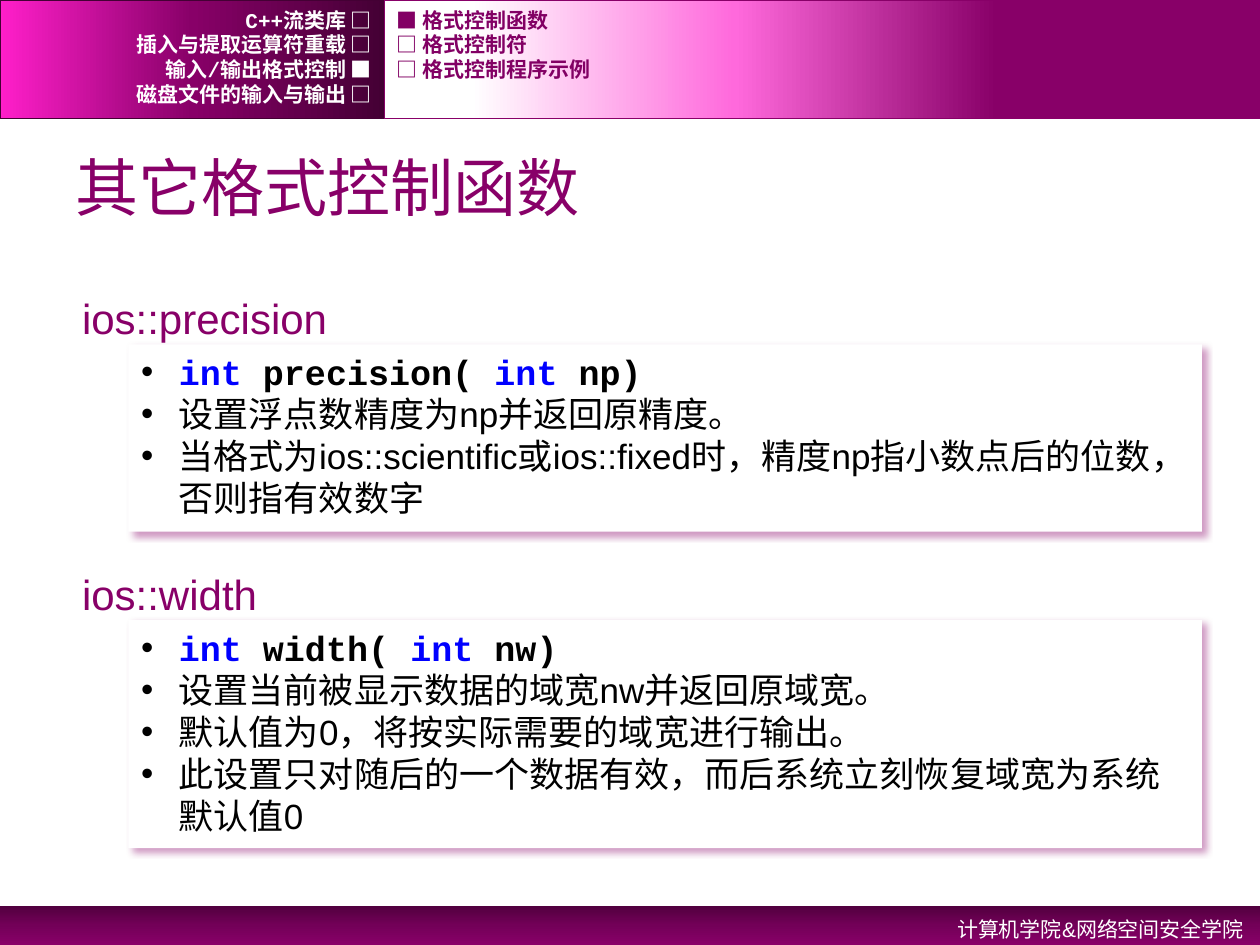
"""Build the slide on further stream format control functions."""
from lxml import etree
from pptx import Presentation
from pptx.dml.color import RGBColor
from pptx.enum.shapes import MSO_SHAPE
from pptx.enum.text import MSO_ANCHOR, MSO_AUTO_SIZE, PP_ALIGN
from pptx.oxml import parse_xml
from pptx.oxml.ns import qn
from pptx.util import Cm, Pt

COLORS = {"plum": "880068", "dark": "440034", "nav": "820064", "keyword": "0000FF",
          "text": "000000", "white": "FFFFFF"}
NS = 'xmlns:a="http://schemas.openxmlformats.org/drawingml/2006/main"'
SANS, MONO = "Arial", "Courier New"

TITLE = "其它格式控制函数"
FOOTER = "计算机学院&网络空间安全学院"
CHAPTERS = ["C++流类库 □", "插入与提取运算符重载 □", "输入/输出格式控制 ■", "磁盘文件的输入与输出 □"]
TOPICS = ["■ 格式控制函数", "□ 格式控制符", "□ 格式控制程序示例"]
SECTIONS = [
    {"name": "ios::precision", "top": 5.77, "width": 5.51, "height": 3.78,
     "signature": ["int ", "precision( ", "int ", "np)"],
     "notes": ["设置浮点数精度为np并返回原精度。",
               "当格式为ios::scientific或ios::fixed时，精度np指小数点后的位数， 否则指有效数字"]},
    {"name": "ios::width", "top": 11.33, "width": 4.09, "height": 4.6,
     "signature": ["int ", "width( ", "int ", "nw)"],
     "notes": ["设置当前被显示数据的域宽nw并返回原域宽。",
               "默认值为0，将按实际需要的域宽进行输出。",
               "此设置只对随后的一个数据有效，而后系统立刻恢复域宽为系统默认值0"]},
]
BANDS = [
    ((0, 18.26, 25.4, 0.79), 90, [(0, "51003E"), (50, "730058"), (100, "880068")], None),
    ((0, 0, 7.75, 2.39), 180, [(0, "440034"), (50, "880068"), (100, "FF1FCA")], "dark"),
    ((7.75, 0, 17.65, 2.39), 180, [(30, "880068"), (60, "FF69DC"), (90, "FFFFFF")], "plum"),
]


def color(name):
    return RGBColor.from_string(COLORS[name])


def place(shape, left, top, width, height):
    shape.left, shape.top, shape.width, shape.height = map(Cm, (left, top, width, height))


def add_run(paragraph, text, size, font, tint, bold=False):
    run = paragraph.add_run()
    run.text = text
    run.font.size, run.font.name, run.font.bold = Pt(size), font, bold
    run.font.color.rgb = color(tint)


def set_frame(shape, anchor=MSO_ANCHOR.TOP, wrap=True):
    frame = shape.text_frame
    frame.auto_size = MSO_AUTO_SIZE.NONE
    frame.word_wrap, frame.vertical_anchor = wrap, anchor
    return frame


def add_band(slide, box, angle, stops, line):
    band = slide.shapes.add_shape(MSO_SHAPE.RECTANGLE, *map(Cm, box))
    band.shadow.inherit = False
    band.fill.background()
    marks = "".join(f'<a:gs pos="{pos * 1000}"><a:srgbClr val="{tint}"/></a:gs>'
                    for pos, tint in stops)
    gradient = parse_xml(f'<a:gradFill {NS} rotWithShape="1"><a:gsLst>{marks}</a:gsLst>'
                         f'<a:lin ang="{angle * 60000}" scaled="0"/></a:gradFill>')
    properties = band._element.spPr
    properties.replace(properties.find(qn("a:noFill")), gradient)
    if line:
        band.line.color.rgb, band.line.width = color(line), Pt(1)
    else:
        band.line.fill.background()


def add_label(slide, box, text, font, tint, align, bold, anchor=MSO_ANCHOR.MIDDLE):
    label = slide.shapes.add_textbox(*map(Cm, box))
    paragraph = set_frame(label, anchor).paragraphs[0]
    paragraph.alignment = align
    add_run(paragraph, text, 12, font, tint, bold)
    return paragraph


def set_bullet(paragraph):
    properties = paragraph._p.get_or_add_pPr()
    properties.set("marL", str(Cm(0.76)))
    properties.set("indent", str(-Cm(0.76)))
    tint = etree.SubElement(properties, qn("a:buClr"))
    etree.SubElement(tint, qn("a:srgbClr"), val=COLORS["text"])
    etree.SubElement(properties, qn("a:buFont"), typeface=SANS)
    etree.SubElement(properties, qn("a:buChar"), char="•")


def add_section(heading, panel, section):
    place(heading, 1.4, section["top"], section["width"], 1.27)
    paragraph = set_frame(heading, wrap=False).paragraphs[0]
    paragraph.space_before = Pt(0)
    add_run(paragraph, section["name"], 24, SANS, "plum")

    place(panel, 2.59, section["top"] + 1.17, 21.64, section["height"])
    panel.fill.solid()
    panel.fill.fore_color.rgb = color("white")
    panel.shadow.inherit = False
    panel._element.spPr.find(qn("a:effectLst")).append(parse_xml(
        f'<a:outerShdw {NS} blurRad="{Pt(4)}" dist="{Pt(3)}" dir="2700000" algn="tl">'
        f'<a:srgbClr val="{COLORS["plum"]}"><a:alpha val="40000"/></a:srgbClr></a:outerShdw>'))
    frame = set_frame(panel)
    for index, note in enumerate([None] + section["notes"]):
        paragraph = frame.add_paragraph() if index else frame.paragraphs[0]
        paragraph.level = 1 if index else 0
        paragraph.space_before = Pt(0)
        set_bullet(paragraph)
        if index:
            add_run(paragraph, note, 20, SANS, "text")
            continue
        for part in section["signature"]:
            tint = "keyword" if part == "int " else "text"
            add_run(paragraph, part, 20, MONO, tint, True)


def main():
    deck = Presentation()
    deck.slide_width, deck.slide_height = Cm(25.4), Cm(19.05)
    slide = deck.slides.add_slide(deck.slide_layouts.get_by_name("Comparison"))
    for band in BANDS:
        add_band(slide, *band)

    footer = add_label(slide, (16.31, 18.26, 9.02, 0.81), FOOTER, SANS, "white",
                       PP_ALIGN.RIGHT, False, MSO_ANCHOR.TOP)
    footer.line_spacing = 1.2

    title = slide.shapes.title
    place(title, 1.27, 2.77, 22.86, 1.98)
    paragraph = set_frame(title, MSO_ANCHOR.MIDDLE).paragraphs[0]
    paragraph.alignment = PP_ALIGN.LEFT
    add_run(paragraph, TITLE, 36, SANS, "plum")

    bodies = list(slide.placeholders)[1:]
    for heading, panel, section in zip(bodies[::2], bodies[1::2], SECTIONS):
        add_section(heading, panel, section)

    for entries, left, width, tint, align in (
            (CHAPTERS, 0, 7.75, "white", PP_ALIGN.RIGHT),
            (TOPICS, 7.75, 15.29, "nav", PP_ALIGN.LEFT)):
        for row, entry in enumerate(entries):
            add_label(slide, (left, 0.15 + 0.5 * row, width, 0.5), entry, MONO, tint, align, True)

    deck.save("out.pptx")


main()
